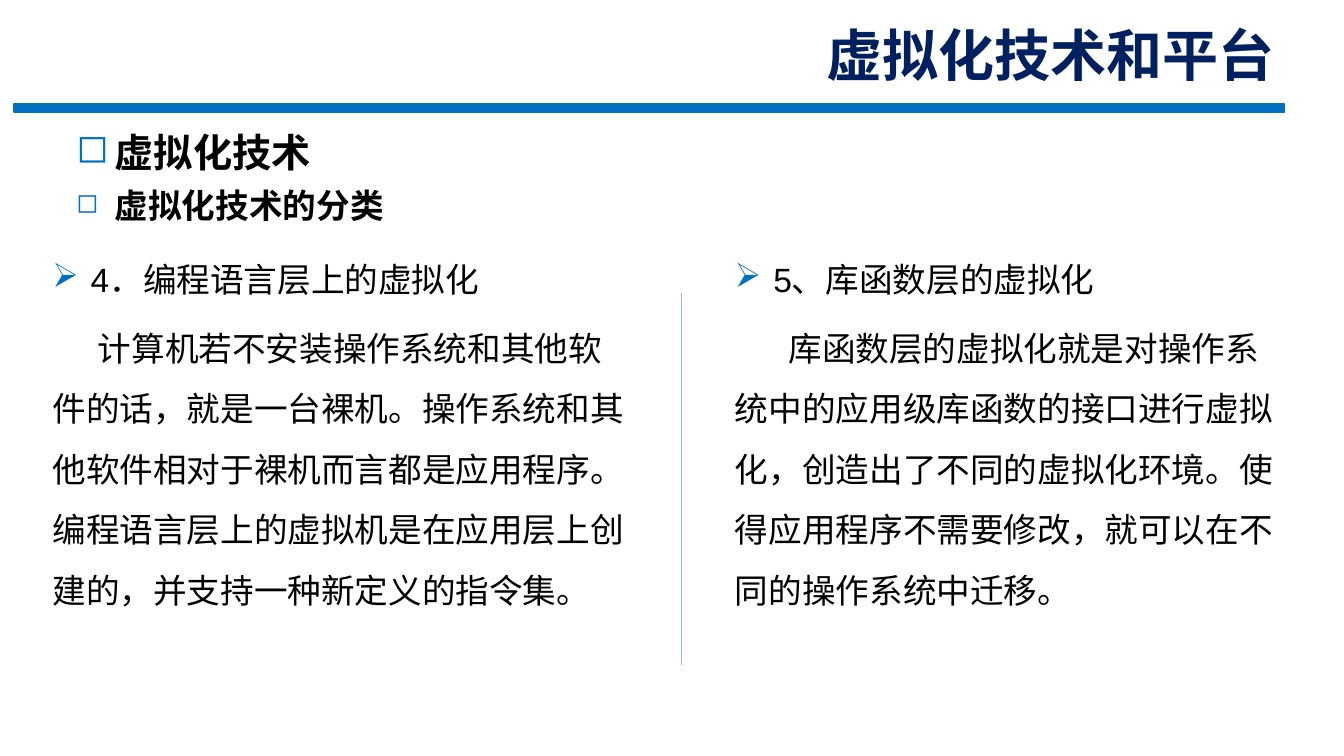
from dataclasses import dataclass

from lxml.etree import SubElement
from pptx import Presentation
from pptx.dml.color import RGBColor
from pptx.enum.shapes import MSO_CONNECTOR, MSO_SHAPE
from pptx.enum.text import MSO_ANCHOR, MSO_AUTO_SIZE, PP_ALIGN
from pptx.oxml.ns import qn
from pptx.util import Inches, Pt


@dataclass(frozen=True)
class Theme:
    accent: str = "0070C0"
    title: str = "002060"
    text: str = "000000"
    divider: str = "A4B3D8"
    title_size: int = 40
    heading_size: int = 28
    body_size: int = 24
    title_font: str = "Roboto"
    heading_font: str = "Noto Sans CJK SC"
    body_font: str = "Arial"
    east_asian_font: str = "Noto Sans CJK SC"


THEME = Theme()
HANGING = 0.38

COLUMNS = [
    ((0.39, 2.3, 6.02, 4.99), "4．编程语言层上的虚拟化", 0.45,
     "计算机若不安装操作系统和其他软件的话，就是一台裸机。操作系统和其他软件相对于裸机而言都是应用程序。"
     "编程语言层上的虚拟机是在应用层上创建的，并支持一种新定义的指令集。"),
    ((7.16, 2.3, 5.75, 4.99), "5、库函数层的虚拟化", 0.53,
     "库函数层的虚拟化就是对操作系统中的应用级库函数的接口进行虚拟化，创造出了不同的虚拟化环境。"
     "使得应用程序不需要修改，就可以在不同的操作系统中迁移。"),
]


def set_attributes(target, values):
    for name, value in values.items():
        setattr(target, name, value)


def box_values(box):
    return dict(zip(("left", "top", "width", "height"), map(Inches, box)))


def add_text(paragraph, text, size, font, color=THEME.text, bold=False):
    run = paragraph.add_run()
    run.text = text
    set_attributes(run.font, {"size": Pt(size), "name": font, "bold": bold})
    run.font.color.rgb = RGBColor.from_string(color)
    SubElement(run.font._element, qn("a:ea"), typeface=THEME.east_asian_font)


def set_indent(paragraph, first_line, left=0):
    properties = paragraph._p.get_or_add_pPr()
    properties.set("marL", str(Inches(left)))
    properties.set("indent", str(Inches(first_line)))
    return properties


def add_bullet(paragraph, character, percent=100):
    properties = set_indent(paragraph, -HANGING, HANGING)
    color = SubElement(properties, qn("a:buClr"))
    SubElement(color, qn("a:srgbClr"), val=THEME.accent)
    SubElement(properties, qn("a:buSzPct"), val=str(percent * 1000))
    SubElement(properties, qn("a:buChar"), char=character)


def add_title(slide, box, text):
    title = slide.shapes.title
    set_attributes(title, box_values(box))
    set_attributes(title.text_frame, {
        "vertical_anchor": MSO_ANCHOR.BOTTOM, "auto_size": MSO_AUTO_SIZE.NONE, "word_wrap": True})
    paragraph = title.text_frame.paragraphs[0]
    paragraph.alignment = PP_ALIGN.RIGHT
    add_text(paragraph, text, THEME.title_size, THEME.title_font, THEME.title, True)


def add_title_bar(slide, box):
    bar = slide.shapes.add_shape(MSO_SHAPE.RECTANGLE, *map(Inches, box))
    bar.shadow.inherit = False
    bar.fill.solid()
    for color in (bar.fill.fore_color, bar.line.color):
        color.rgb = RGBColor.from_string(THEME.accent)
    bar.line.width = Pt(1)


def add_heading(slide, box, text, size, bullet_percent):
    frame = slide.shapes.add_textbox(*map(Inches, box)).text_frame
    set_attributes(frame, {"word_wrap": False, "auto_size": MSO_AUTO_SIZE.SHAPE_TO_FIT_TEXT})
    paragraph = frame.paragraphs[0]
    add_bullet(paragraph, "◻", bullet_percent)
    add_text(paragraph, text, size, THEME.heading_font, bold=True)


def add_column(slide, box, heading, first_line, body):
    frame = slide.shapes.add_textbox(*map(Inches, box)).text_frame
    set_attributes(frame, {
        "word_wrap": True, "margin_left": Inches(0.13), "margin_right": Inches(0.13),
        "margin_top": Inches(0.07), "margin_bottom": Inches(0.07)})
    heading_paragraph, body_paragraph = frame.paragraphs[0], frame.add_paragraph()
    add_bullet(heading_paragraph, "➢")
    set_indent(body_paragraph, first_line)
    body_paragraph.space_before = Pt(5.8)
    for paragraph, text in ((heading_paragraph, heading), (body_paragraph, body)):
        paragraph.line_spacing = 1.5
        add_text(paragraph, text, THEME.body_size, THEME.body_font)


def add_divider(slide, x, top, bottom):
    divider = slide.shapes.add_connector(
        MSO_CONNECTOR.STRAIGHT, *map(Inches, (x, top, x, bottom)))
    divider.line.color.rgb = RGBColor.from_string(THEME.divider)
    divider.line.width = Pt(1)
    SubElement(divider._element.spPr, qn("a:effectLst"))


def main():
    presentation = Presentation()
    set_attributes(presentation, {"slide_width": Inches(13.33), "slide_height": Inches(7.5)})
    slide = presentation.slides.add_slide(presentation.slide_layouts[5])

    # Title band
    add_title_bar(slide, (0.14, 1.03, 12.6, 0.08))
    add_title(slide, (6.41, 0.34, 6.33, 0.58), "虚拟化技术和平台")

    # Section headings
    add_heading(slide, (0.66, 1.22, 2.55, 0.57), "虚拟化技术", THEME.heading_size, 100)
    add_heading(slide, (0.66, 1.79, 3.29, 0.5), "虚拟化技术的分类", THEME.body_size, 80)

    # Two columns with a divider between them
    for column in COLUMNS:
        add_column(slide, *column)
    add_divider(slide, 6.76, 2.91, 6.6)

    presentation.save("out.pptx")


if __name__ == "__main__":
    main()
